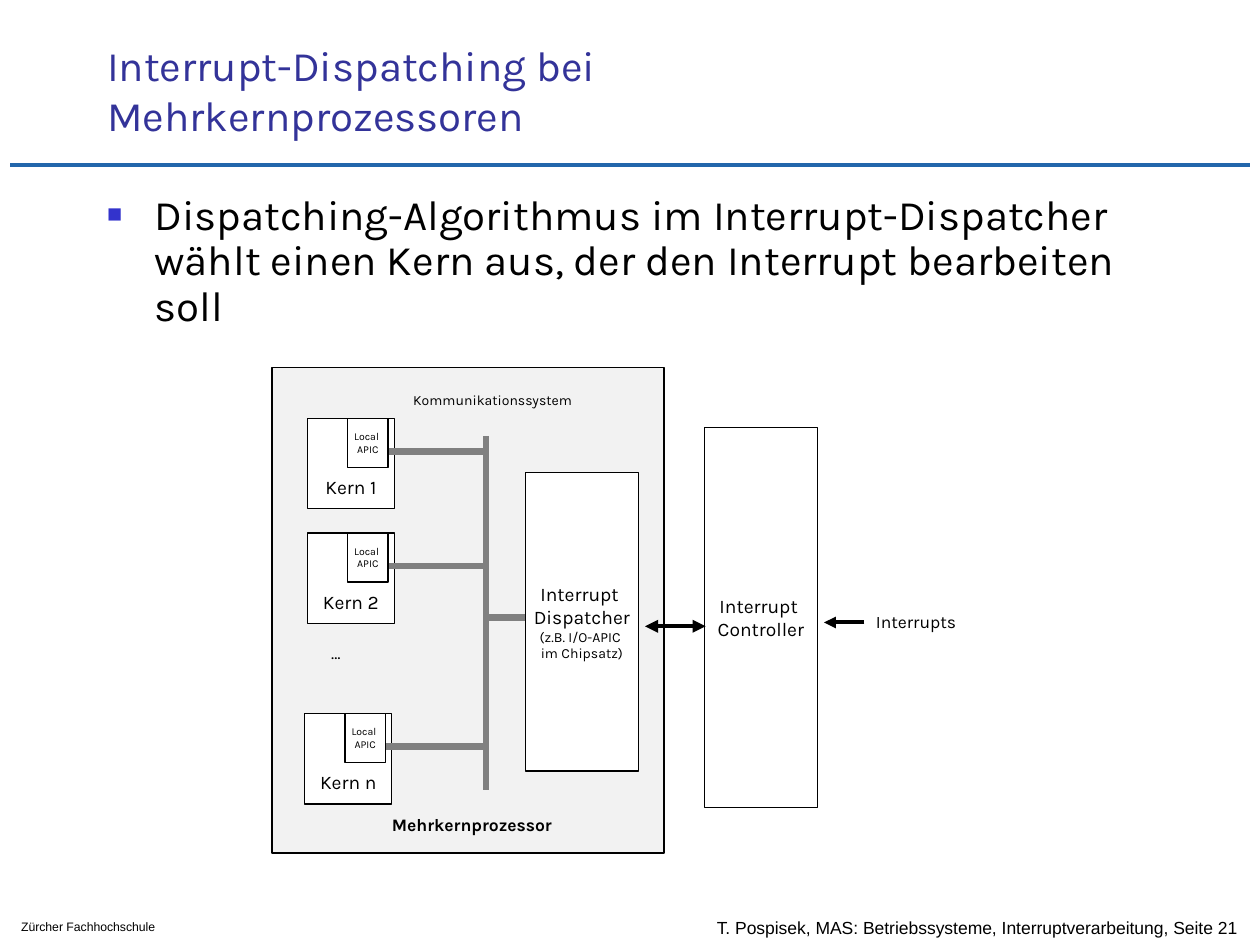
import pptx
import pptx.dml.color
import pptx.enum.shapes
import pptx.enum.text
import pptx.oxml
import pptx.oxml.ns
import pptx.util
from lxml import etree

Pt = pptx.util.Pt
ALIGN = pptx.enum.text.PP_ALIGN
ANCHOR = pptx.enum.text.MSO_ANCHOR
BLACK = "000000"
WHITE = "FFFFFF"
GREY = "808080"


def color(value):
    return pptx.dml.color.RGBColor.from_string(value)


def child(parent, tag, **attributes):
    return etree.SubElement(parent, pptx.oxml.ns.qn(tag), **attributes)


def write(para, text, font="Karla", size=10, ink=BLACK, bold=False, align=ALIGN.LEFT):
    para.alignment = align
    span = para.add_run()
    span.text = text
    span.font.name = font
    span.font.size = Pt(size)
    span.font.bold = bold
    span.font.color.rgb = color(ink)


class Diagram:
    def __init__(self, page):
        self.page = page
        self.edge = 0.75

    def place(self, shape, left, top, width, height):
        shape.left, shape.top = Pt(left), Pt(top)
        shape.width, shape.height = Pt(width), Pt(height)

    def frame(self, shape, anchor, wrap):
        frame = shape.text_frame
        frame.auto_size = pptx.enum.text.MSO_AUTO_SIZE.NONE
        frame.word_wrap = wrap
        frame.vertical_anchor = anchor
        return frame

    def fill_lines(self, frame, lines, **style):
        for index, (text, size) in enumerate(lines):
            para = frame.add_paragraph() if index else frame.paragraphs[0]
            write(para, text, size=size, **style)

    def title(self, text, *area):
        shape = self.page.shapes.title
        self.place(shape, *area)
        frame = self.frame(shape, ANCHOR.BOTTOM, True)
        write(frame.paragraphs[0], text, size=24, ink="333399")

    def bullet(self, text, *area):
        shape = self.page.placeholders[1]
        self.place(shape, *area)
        para = self.frame(shape, ANCHOR.TOP, True).paragraphs[0]
        props = para._p.get_or_add_pPr()
        props.set("marL", str(Pt(27)))
        props.set("indent", str(Pt(-27)))
        child(child(props, "a:buClr"), "a:srgbClr", val="3333CC")
        child(props, "a:buSzPct", val="60000")
        child(props, "a:buFont", typeface="Arial")
        child(props, "a:buChar", char="■")
        para.line_spacing = 0.9
        para.space_before = Pt(0)
        write(para, text, size=24)

    def label(self, text, *area, size=10, anchor=ANCHOR.TOP, wrap=True, **style):
        shape = self.page.shapes.add_textbox(*map(Pt, area))
        frame = self.frame(shape, anchor, wrap)
        self.fill_lines(frame, [(text, size)], **style)

    def box(self, lines, *area, fill=WHITE, anchor=ANCHOR.MIDDLE, bottom=3.6):
        kind = pptx.enum.shapes.MSO_SHAPE.RECTANGLE
        shape = self.page.shapes.add_shape(kind, *map(Pt, area))
        shape.shadow.inherit = False
        shape.fill.solid()
        shape.fill.fore_color.rgb = color(fill)
        shape.line.color.rgb = color(BLACK)
        shape.line.width = Pt(self.edge)
        frame = self.frame(shape, anchor, False)
        frame.margin_bottom = Pt(bottom)
        self.fill_lines(frame, lines, align=ALIGN.CENTER)

    def line(self, *ends, ink=GREY, width=3.75, arrows=()):
        kind = pptx.enum.shapes.MSO_CONNECTOR.STRAIGHT
        link = self.page.shapes.add_connector(kind, *map(Pt, ends))
        link.line.color.rgb = color(ink)
        link.line.width = Pt(width)
        for arrow in arrows:
            child(link.line._get_or_add_ln(), arrow, type="triangle")
        child(link._element.spPr, "a:effectLst")

    def core(self, name, left, top, bus):
        self.box([(name, 11)], left, top, 49.7, 51.8, anchor=ANCHOR.BOTTOM, bottom=6)
        self.line(bus, top + 19, left + 45.4, top + 19)
        self.box([("Local ", 6), ("APIC", 6)], left + 23, top, 23, 28.1)


def main():
    deck = pptx.Presentation()
    deck.slide_width, deck.slide_height = Pt(720), Pt(540)
    page = deck.slides.add_slide(deck.slide_layouts[1])
    diagram = Diagram(page)

    diagram.line(5.8, 94.3, 714.2, 94.3, ink="2266AB", width=2.5)
    diagram.label("T. Pospisek, MAS: Betriebssysteme, Interruptverarbeitung, Seite 21",
                  402.5, 518.4, 317, 23.8, font="Arial", anchor=ANCHOR.MIDDLE)
    diagram.label("Zürcher Fachhochschule", 5, 522, 123.8, 15.8, size=7, font="Arial")
    diagram.title("Interrupt-Dispatching bei Mehrkernprozessoren", 54, 23.8, 507.6, 59.8)
    diagram.bullet("Dispatching-Algorithmus im Interrupt-Dispatcher wählt einen Kern aus, "
                   "der den Interrupt bearbeiten soll", 54, 107.3, 606.2, 83.5)

    diagram.box([], 155.5, 210.2, 223.9, 277.2, fill="F2F2F2")
    diagram.label("Kommunikationssystem", 229, 220.3, 116.6, 16.6, size=8)
    bus = 277.8
    diagram.line(bus, 249.1, bus, 451.4)
    for name, left, top in (("Kern 1", 175.7, 239),
                            ("Kern 2", 175.7, 304.5),
                            ("Kern n", 174.2, 407.6)):
        diagram.core(name, left, top, bus)
    diagram.label("…", 180.7, 363.6, 22.3, 19.4, wrap=False, align=ALIGN.CENTER)
    diagram.label("Mehrkernprozessor", 213.8, 461.5, 111.6, 19.4,
                  wrap=False, bold=True, align=ALIGN.CENTER)

    diagram.line(bus, 352.8, 334.8, 352.8)
    diagram.box([("Interrupt ", 11), ("Dispatcher", 11),
                 ("(z.B. I/O-APIC ", 8), ("im Chipsatz)", 8)],
                300.2, 270, 64.8, 170.6)
    diagram.box([("Interrupt ", 11), ("Controller", 11)], 402.5, 244.1, 64.8, 217.4)
    diagram.line(403.2, 357.9, 368.6, 357.9, ink=BLACK, width=2.5,
                 arrows=("a:headEnd", "a:tailEnd"))
    diagram.line(493.9, 355.7, 470.9, 355.7, ink=BLACK, width=2.25,
                 arrows=("a:tailEnd",))
    diagram.label("Interrupts", 492.5, 345.6, 61.9, 19.4, wrap=False, align=ALIGN.CENTER)

    deck.save("out.pptx")


if __name__ == "__main__":
    main()
